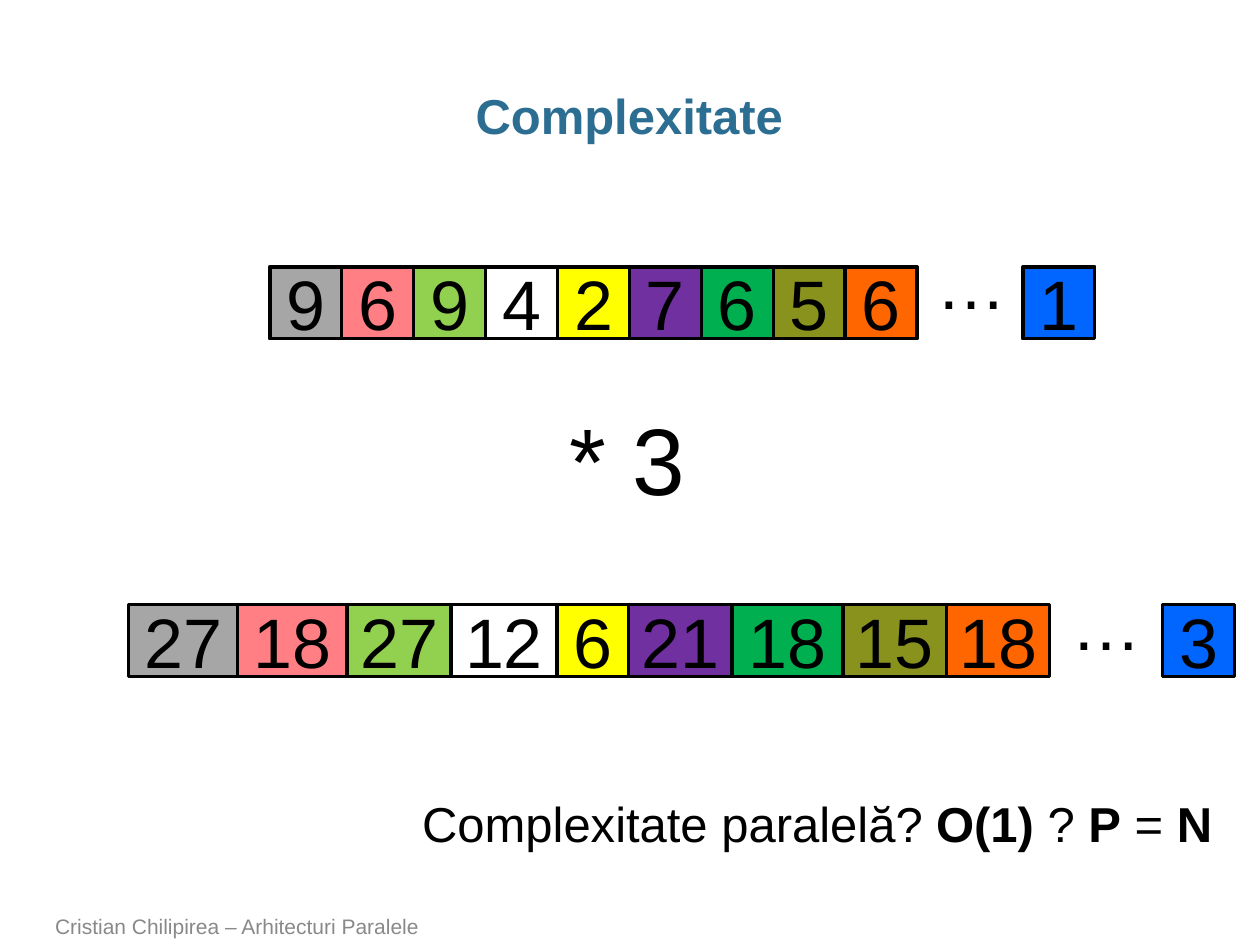
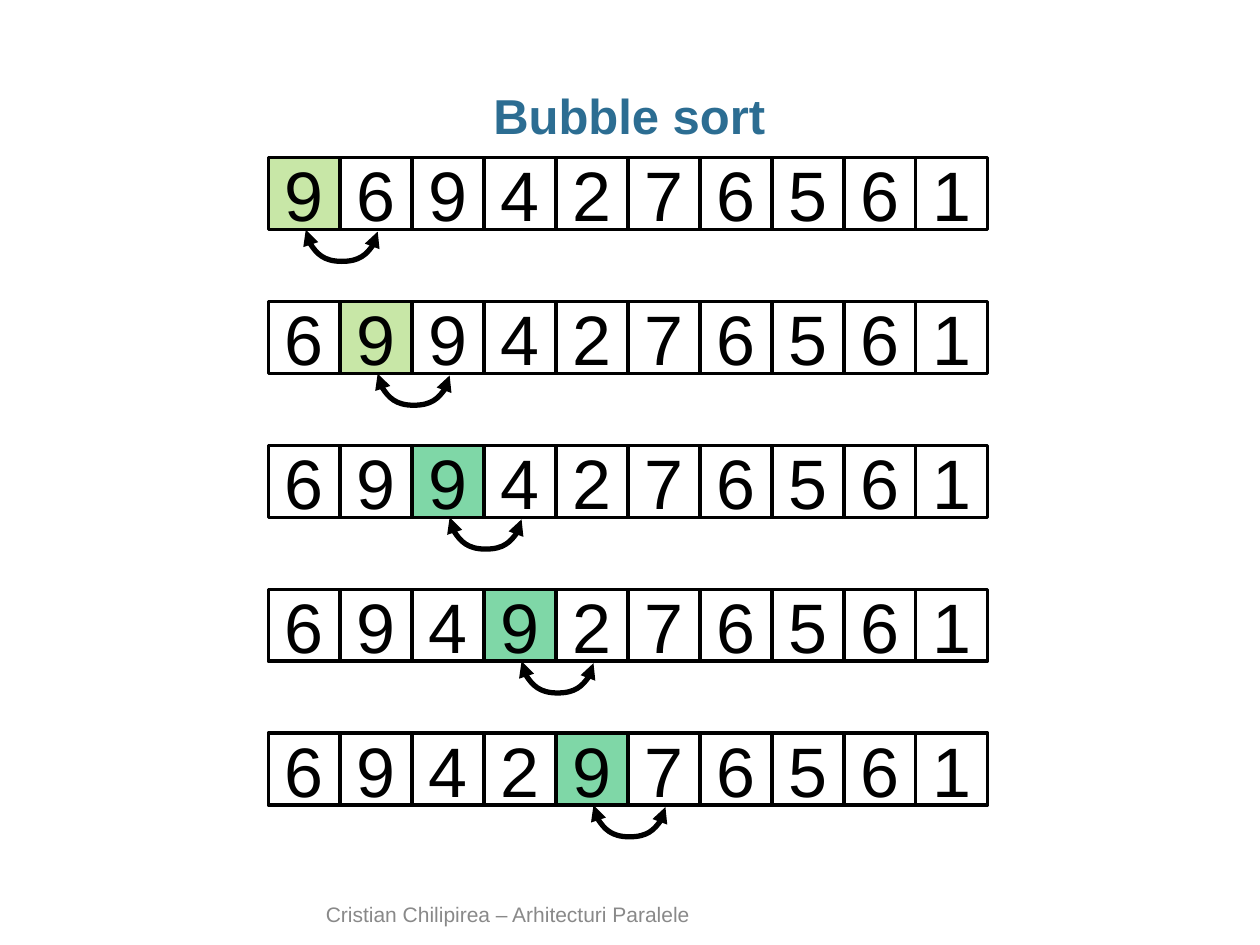
from itertools import pairwise

from lxml import etree
from pptx import Presentation
from pptx.dml.color import RGBColor
from pptx.enum.shapes import MSO_CONNECTOR as Link, MSO_SHAPE as Preset
from pptx.enum.text import MSO_ANCHOR as Anchor, MSO_AUTO_SIZE as AutoSize, PP_ALIGN as Align
from pptx.oxml.ns import qn
from pptx.util import Cm, Pt

COLOURS = {
    "title": "2C6D92", "footer": "898989", "ink": "000000",
    "grey": "A6A6A6", "pink": "FF7F85", "lime": "92D050", "yellow": "FFFF00",
    "purple": "7030A0", "green": "00B050", "olive": "8A921E",
    "orange": "FF6600", "blue": "0066FF",
}
FONT = "Arial"
TITLE_LAYOUT = 5
CELL = 1.45  # side of a square cell, in cm
FOOTER = "Cristian Chilipirea – Arhitecturi Paralele"


class Slides:
    """Holds the style and the current page; lengths are in centimetres."""

    def __init__(self):
        self.deck = Presentation()
        self.deck.slide_width, self.deck.slide_height = Cm(25.4), Cm(19.05)
        self.page = None

    def new_page(self, title):
        self.page = self.deck.slides.add_slide(self.deck.slide_layouts[TITLE_LAYOUT])
        box = self.page.shapes.title
        box.left, box.top, box.width, box.height = Cm(0.86), Cm(1.73), Cm(23.65), Cm(1.27)
        frame = box.text_frame
        frame.auto_size = AutoSize.NONE
        frame.vertical_anchor = Anchor.MIDDLE
        frame.margin_left = frame.margin_right = 0
        self.add_text(frame, [title], 28, "title", bold_from=0)
        para = frame.paragraphs[0]
        para.alignment = Align.CENTER
        para.line_spacing = 0.95

    def add_text(self, frame, parts, size, colour="ink", bold_from=1):
        """Add the parts as runs, every second one bold."""
        para = frame.paragraphs[0]
        for index, part in enumerate(parts):
            span = para.add_run()
            span.text = part
            span.font.name, span.font.size = FONT, Pt(size)
            span.font.bold = index % 2 == bold_from
            span.font.color.rgb = RGBColor.from_string(COLOURS[colour])

    def label(self, left, top, width, height, parts, size):
        box = self.page.shapes.add_textbox(Cm(left), Cm(top), Cm(width), Cm(height))
        frame = box.text_frame
        frame.word_wrap = False
        frame.auto_size = AutoSize.SHAPE_TO_FIT_TEXT
        self.add_text(frame, parts, size)

    def footer(self, left, top, width, height):
        box = self.page.shapes.add_textbox(Cm(left), Cm(top), Cm(width), Cm(height))
        frame = box.text_frame
        frame.word_wrap = True
        frame.vertical_anchor = Anchor.BOTTOM
        self.add_text(frame, [FOOTER], 12, "footer")

    def cell(self, left, top, value, colour=None, width=CELL, opacity=100):
        box = self.page.shapes.add_shape(
            Preset.RECTANGLE, Cm(left), Cm(top), Cm(width), Cm(CELL))
        box.shadow.inherit = False
        box.line.color.rgb = RGBColor.from_string(COLOURS["ink"])
        box.line.width = Pt(2)
        if colour:
            box.fill.solid()
            box.fill.fore_color.rgb = RGBColor.from_string(COLOURS[colour])
            if opacity < 100:
                tint = box._element.spPr.find(qn("a:solidFill"))[0]
                etree.SubElement(tint, qn("a:alpha"), val=str(opacity * 1000))
        else:
            box.fill.background()
        frame = box.text_frame
        frame.margin_left = frame.margin_right = 0
        frame.vertical_anchor = Anchor.MIDDLE
        self.add_text(frame, [str(value)], 40)
        frame.paragraphs[0].alignment = Align.CENTER

    def swap_arrow(self, left, top, span, depth=0.64):
        """Curve hanging below two points, with a head at each end."""
        drop = 0.04  # the right end sits slightly lower
        middle, centre = left + span / 2, top + drop / 2
        # Drawn upright, then turned a quarter to hang down
        arrow = self.page.shapes.add_connector(
            Link.CURVE,
            Cm(middle + drop / 2), Cm(centre - span / 2),
            Cm(middle - drop / 2), Cm(centre + span / 2))
        arrow.line.color.rgb = RGBColor.from_string(COLOURS["ink"])
        arrow.line.width = Pt(3)
        properties = arrow._element.spPr
        properties.find(qn("a:xfrm")).set("rot", str(270 * 60000))
        guides = properties.find(qn("a:prstGeom")).find(qn("a:avLst"))
        bend = round(depth / drop * 100000)
        etree.SubElement(guides, qn("a:gd"), name="adj1", fmla=f"val {bend}")
        line = properties.find(qn("a:ln"))
        for end in ("a:headEnd", "a:tailEnd"):
            etree.SubElement(line, qn(end), type="triangle")
        etree.SubElement(properties, qn("a:effectLst"))


def complexity_page(slides):
    slides.new_page("Complexitate")
    slides.footer(0.86, 18.34, 18.72, 0.71)
    slides.label(8.26, 15.88, 16.64, 1.45,
                 ["Complexitate paralelă? ", "O(1) ", "? ", "P", " = ", "N"], 28)
    slides.label(11.23, 7.95, 2.87, 2.57, ["* 3"], 54)

    # Input row and its product: top, cell edges, dots, last cell, factor
    values = [9, 6, 9, 4, 2, 7, 6, 5, 6]
    fills = ["grey", "pink", "lime", None, "yellow", "purple", "green", "olive", "orange"]
    input_edges = [5.44 + CELL * index for index in range(len(values) + 1)]
    product_edges = [2.59, 4.79, 7, 9.09, 11.23, 12.67, 14.76, 17, 19.08, 21.16]
    rows = [(5.38, input_edges, (18.62, 4.7), 20.62, 1),
            (12.19, product_edges, (21.36, 11.58), 23.44, 3)]
    for top, edges, dots, last_left, factor in rows:
        for value, fill, (left, right) in zip(values, fills, pairwise(edges)):
            slides.cell(left, top, value * factor, fill, right - left)
        slides.label(*dots, 1.93, 1.96, ["…"], 40)
        slides.cell(last_left, top, factor, "blue")


def bubble_sort_page(slides):
    slides.new_page("Bubble sort")
    slides.footer(6.32, 18.19, 12.75, 0.61)

    # Each step marks the cell being compared and swaps it if it is larger
    values = [9, 6, 9, 4, 2, 7, 6, 5, 6, 1]
    marks = ["lime", None, "green"] + [None] * 7
    left, first_top, steps = 5.41, 3.18, 5
    for step in range(steps):
        top = first_top + step * 2 * CELL
        for index, value in enumerate(values):
            mark = marks[index] if index == step else None
            slides.cell(left + index * CELL, top, value, mark, opacity=50)
        slides.swap_arrow(left + (step + 0.5) * CELL + 0.03, top + CELL, CELL)
        if values[step] > values[step + 1]:
            for items in (values, marks):
                items[step], items[step + 1] = items[step + 1], items[step]


def main():
    slides = Slides()
    complexity_page(slides)
    bubble_sort_page(slides)
    slides.deck.save("out.pptx")


if __name__ == "__main__":
    main()
